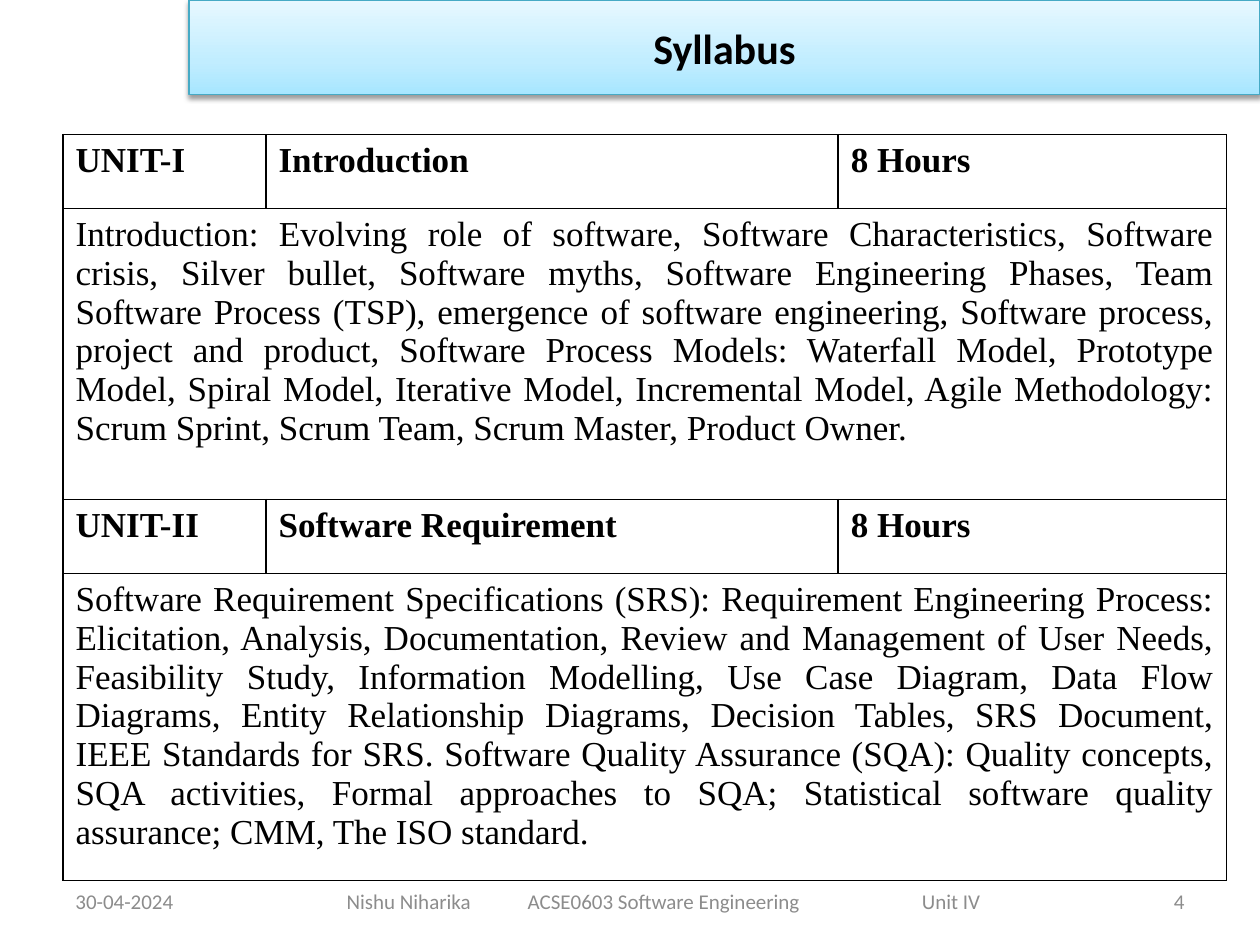
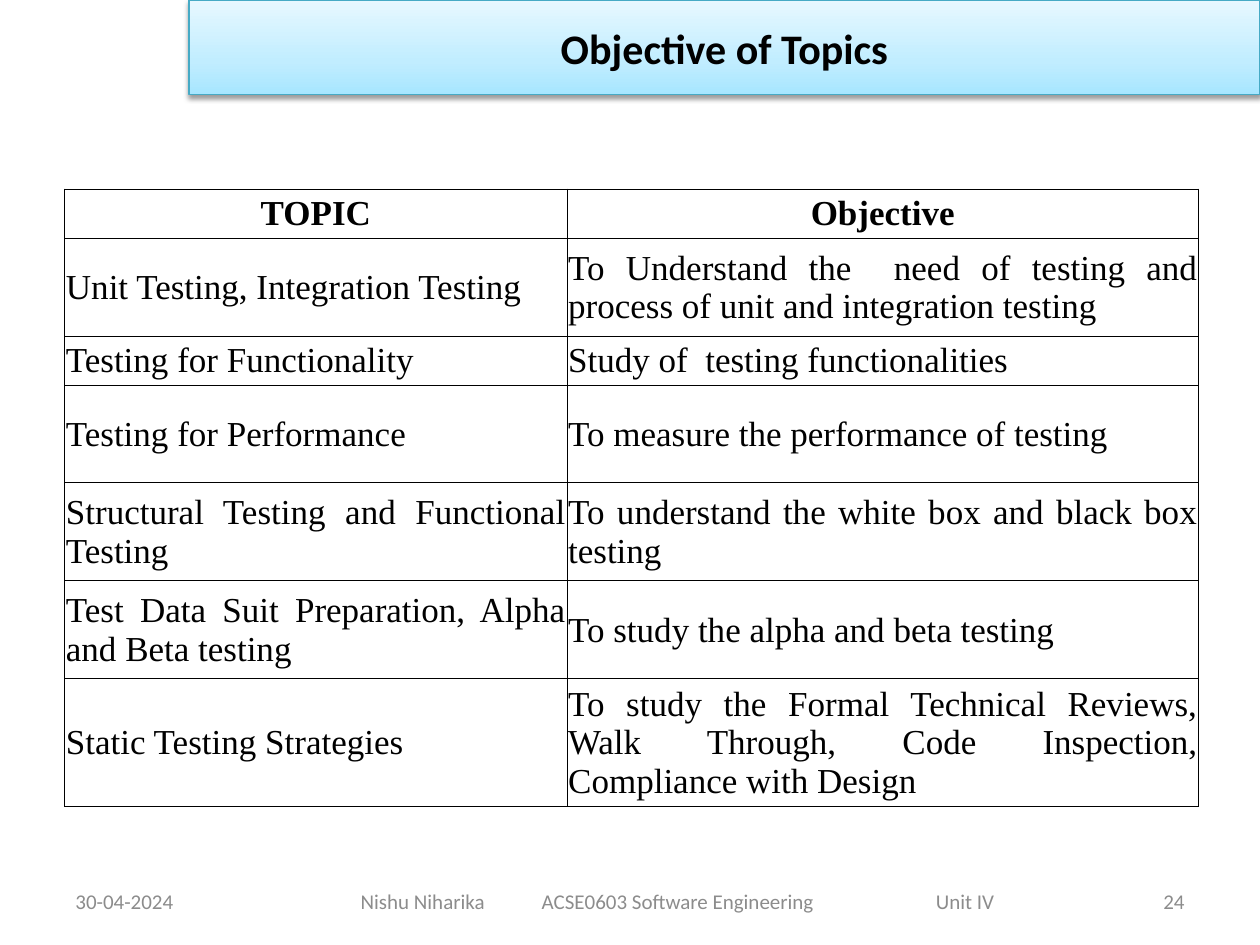
from dataclasses import dataclass

import lxml.etree
import pptx
import pptx.dml.color
import pptx.enum.shapes
import pptx.enum.text
import pptx.oxml.ns
import pptx.util

Pt = pptx.util.Pt
RGBColor = pptx.dml.color.RGBColor
Align = pptx.enum.text.PP_ALIGN
Anchor = pptx.enum.text.MSO_ANCHOR

BLACK = RGBColor(0x00, 0x00, 0x00)
WHITE = RGBColor(0xFF, 0xFF, 0xFF)
GRAY = RGBColor(0x8C, 0x8C, 0x8C)
TEAL = RGBColor(0x46, 0xAA, 0xC5)
SKY = RGBColor(0xA7, 0xE6, 0xFF)
PALE = RGBColor(0xC1, 0xED, 0xFF)
MIST = RGBColor(0xE7, 0xF8, 0xFF)

BAND_STOPS = ((0, SKY), (35, PALE), (100, MIST))
FOOT_TOP, FOOT_HIGH = 500.5, 28.8
FOOT_TABS = (103.5, 328.7)
DATE = "30-04-2024"
CREDIT = ("Nishu Niharika", "ACSE0603 Software Engineering", "Unit IV")


@dataclass(frozen=True)
class Font:
    name: str
    size: float
    color: RGBColor = BLACK
    bold: bool = False


@dataclass(frozen=True)
class Cell:
    text: str
    font: Font
    align: Align = Align.JUSTIFY


@dataclass(frozen=True)
class Grid:
    left: float
    top: float
    cols: tuple[float, ...]
    heights: tuple[float, ...]
    rows: tuple[tuple[Cell, ...], ...]
    border: float
    anchor: Anchor = Anchor.TOP
    insets: tuple[float, ...] = (7.2, 3.6, 7.2, 3.6)  # left, top, right, bottom


@dataclass(frozen=True)
class Page:
    title: str
    number: str
    credit_left: float
    grid: Grid


TITLE = Font("Calibri", 24, bold=True)
SMALL = Font("Calibri", 12, GRAY)
BODY = Font("Times New Roman", 20)
HEAD = Font("Times New Roman", 20, bold=True)


def add_node(parent, tag: str, **attrs):
    node = lxml.etree.SubElement(parent, pptx.oxml.ns.qn(tag))
    for key, value in attrs.items():
        node.set(key, str(value))
    return node


def add_color(parent, color: RGBColor):
    return add_node(parent, "a:srgbClr", val=color)


def write(frame, text: str, font: Font, align: Align) -> None:
    line = frame.paragraphs[0]
    line.alignment = align
    run = line.add_run()
    run.text = text
    run.font.name = font.name
    run.font.size = Pt(font.size)
    run.font.bold = font.bold
    run.font.color.rgb = font.color


def add_band(slide, title: str) -> None:
    band = slide.shapes.add_shape(
        pptx.enum.shapes.MSO_SHAPE.RECTANGLE, Pt(108), Pt(0), Pt(612), Pt(54))
    band.line.color.rgb = TEAL
    band.line.width = Pt(0.75)
    band.fill.gradient()
    band.fill.gradient_angle = 90
    props = band._element.spPr
    stops = props.find(".//" + pptx.oxml.ns.qn("a:gsLst"))
    for stop in list(stops):
        stops.remove(stop)
    for place, color in BAND_STOPS:
        add_color(add_node(stops, "a:gs", pos=place * 1000), color)
    band.shadow.inherit = False
    shade = add_node(props.find(pptx.oxml.ns.qn("a:effectLst")), "a:outerShdw",
                     blurRad=Pt(3.1), dist=Pt(1.6), dir=90 * 60000, rotWithShape=0)
    add_node(add_color(shade, BLACK), "a:alpha", val=38000)
    band.text_frame.vertical_anchor = Anchor.MIDDLE
    write(band.text_frame, title, TITLE, Align.CENTER)


def add_foot(slide, left: float, width: float, text: str,
             align: Align = Align.LEFT, tabs: tuple[float, ...] = ()) -> None:
    box = slide.shapes.add_textbox(Pt(left), Pt(FOOT_TOP), Pt(width), Pt(FOOT_HIGH))
    frame = box.text_frame
    frame.word_wrap = True
    frame.vertical_anchor = Anchor.MIDDLE
    if tabs:
        stops = add_node(frame.paragraphs[0]._p.get_or_add_pPr(), "a:tabLst")
        for tab in tabs:
            add_node(stops, "a:tab", pos=Pt(tab), algn="l")
    write(frame, text, SMALL, align)


def style_cell(cell, grid: Grid) -> None:
    props = cell._tc.get_or_add_tcPr()
    for side in "LRTB":
        edge = add_node(props, "a:ln" + side, w=Pt(grid.border))
        add_color(add_node(edge, "a:solidFill"), BLACK)
    cell.fill.solid()
    cell.fill.fore_color.rgb = WHITE
    cell.vertical_anchor = grid.anchor
    (cell.margin_left, cell.margin_top,
     cell.margin_right, cell.margin_bottom) = map(Pt, grid.insets)


def add_grid(slide, grid: Grid) -> None:
    """Draw the table; a row with a single entry spans every column."""
    table = slide.shapes.add_table(
        len(grid.rows), len(grid.cols), Pt(grid.left), Pt(grid.top),
        Pt(sum(grid.cols)), Pt(sum(grid.heights))).table
    table.first_row = table.horz_banding = False
    for col, width in zip(table.columns, grid.cols):
        col.width = Pt(width)
    for row, height in zip(table.rows, grid.heights):
        row.height = Pt(height)
    for cell in table.iter_cells():
        style_cell(cell, grid)
    for r, row in enumerate(grid.rows):
        if len(row) == 1:
            table.cell(r, 0).merge(table.cell(r, len(grid.cols) - 1))
        for c, entry in enumerate(row):
            write(table.cell(r, c).text_frame, entry.text, entry.font, entry.align)


def add_page(deck, page: Page) -> None:
    slide = deck.slides.add_slide(deck.slide_layouts[6])
    add_foot(slide, 36, 168, DATE)
    add_foot(slide, 516, 168, page.number, Align.RIGHT)
    add_band(slide, page.title)
    add_foot(slide, page.credit_left, 396, "\t".join(CREDIT), tabs=FOOT_TABS)
    add_grid(slide, page.grid)


def unit(name: str, topic: str, text: str) -> tuple[tuple[Cell, ...], ...]:
    """Return a heading row and the full-width row below it."""
    head = tuple(Cell(part, HEAD) for part in (name, topic, "8 Hours"))
    return head, (Cell(text, BODY),)


UNITS = (
    *unit("UNIT-I", "Introduction",
          "Introduction: Evolving role of software, Software Characteristics, "
          "Software crisis, Silver bullet, Software myths, Software Engineering "
          "Phases, Team Software Process (TSP), emergence of software engineering, "
          "Software process, project and product, Software Process Models: "
          "Waterfall Model, Prototype Model, Spiral Model, Iterative Model, "
          "Incremental Model, Agile Methodology: Scrum Sprint, Scrum Team, "
          "Scrum Master, Product Owner."),
    *unit("UNIT-II", "Software Requirement",
          "Software Requirement Specifications (SRS): Requirement Engineering "
          "Process: Elicitation, Analysis, Documentation, Review and Management of "
          "User Needs, Feasibility Study, Information Modelling, Use Case Diagram, "
          "Data Flow Diagrams, Entity Relationship Diagrams, Decision Tables, SRS "
          "Document, IEEE Standards for SRS. Software Quality Assurance (SQA): "
          "Quality concepts, SQA activities, Formal approaches to SQA; Statistical "
          "software quality assurance; CMM, The ISO standard."),
)

GOALS = (
    ("Unit Testing, Integration Testing",
     "To Understand the  need of testing and process of unit and integration testing"),
    ("Testing for Functionality", "Study of  testing functionalities"),
    ("Testing for Performance", "To measure the performance of testing"),
    ("Structural Testing and Functional Testing",
     "To understand the white box and black box testing"),
    ("Test Data Suit Preparation, Alpha and Beta testing",
     "To study the alpha and beta testing"),
    ("Static Testing Strategies",
     "To study the Formal Technical Reviews, Walk Through, Code Inspection, "
     "Compliance with Design"),
)
GOAL_ROWS = (
    tuple(Cell(text, HEAD, Align.CENTER) for text in ("TOPIC", "Objective")),
    *(tuple(Cell(text, BODY) for text in goal) for goal in GOALS),
)

PAGES = (
    Page("Syllabus", "4", 191, Grid(
        36, 77, (116, 327, 222), (42.3, 166.3, 42.3, 172.3), UNITS, border=1)),
    Page("Objective of Topics", "24", 199, Grid(
        37, 108, (287, 361), (28, 56, 28, 56, 56, 56, 67.4), GOAL_ROWS, border=0.5,
        anchor=Anchor.MIDDLE, insets=(0.7, 0.7, 0.7, 0))),
)


def main() -> None:
    deck = pptx.Presentation()
    deck.slide_width, deck.slide_height = Pt(720), Pt(540)
    for page in PAGES:
        add_page(deck, page)
    deck.save("out.pptx")


if __name__ == "__main__":
    main()
